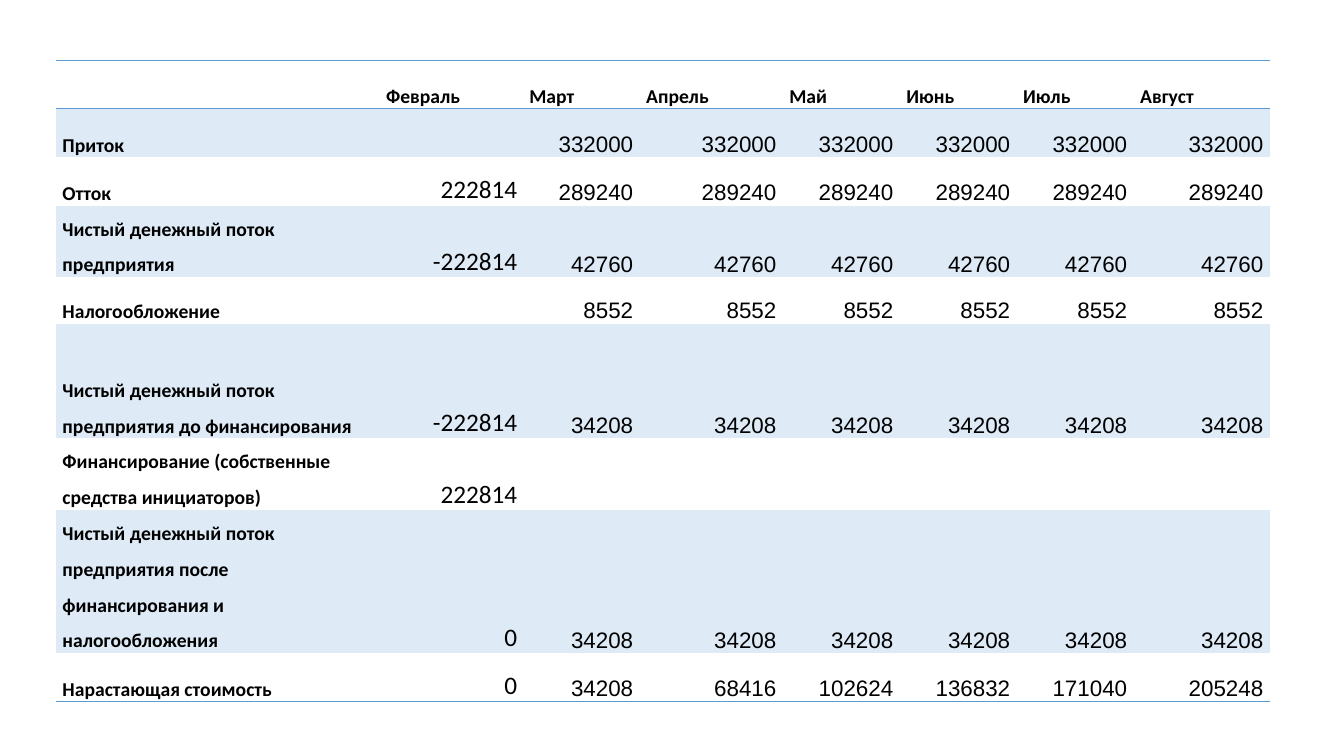
from dataclasses import dataclass
from lxml import etree
from pptx import Presentation
from pptx.dml.color import RGBColor
from pptx.enum.text import MSO_ANCHOR, PP_ALIGN
from pptx.oxml.ns import qn
from pptx.util import Inches, Pt

BOTTOM = MSO_ANCHOR.BOTTOM
LEFT, RIGHT = PP_ALIGN.LEFT, PP_ALIGN.RIGHT


@dataclass(frozen=True)
class Theme:
    line: str = "5B9BD5"
    band: str = "DEEBF7"
    text: str = "000000"
    label: tuple = ("Calibri", 14, True, 0.06)
    start: tuple = ("Calibri", 18, False, 0.06)
    month: tuple = ("Arial", 16, False, 0.07)
    spacing: float = 1.5
    rule: float = 1


THEME = Theme()
MONTHS = ["Март", "Апрель", "Май", "Июнь", "Июль", "Август"]
N = len(MONTHS)
FLOWS = [
    ("", "Февраль", MONTHS),
    ("Приток", "", ["332000"] * N),
    ("Отток", "222814", ["289240"] * N),
    ("Чистый денежный поток предприятия", "-222814", ["42760"] * N),
    ("Налогообложение", "", ["8552"] * N),
    ("Чистый денежный поток предприятия до финансирования", "-222814", ["34208"] * N),
    ("Финансирование (собственные средства инициаторов)", "222814", [""] * N),
    ("Чистый денежный поток предприятия после финансирования и налогообложения",
     "0", ["34208"] * N),
    ("Нарастающая стоимость", "0", [str(34208 * k) for k in range(1, N + 1)]),
]
COLS = [3.21, 1.42, 1.16, 1.42, 1.16, 1.16, 1.16, 1.35]
ROWS = [0.48, 0.48, 0.48, 0.71, 0.46, 1.14, 0.71, 1.42, 0.48]
X, Y = 0.56, 0.6


def add_border(cell, side):
    tc_pr = cell._tc.get_or_add_tcPr()
    ln = etree.SubElement(tc_pr, qn(f"a:{side}"), w=str(Pt(THEME.rule)))
    fill = etree.SubElement(ln, qn("a:solidFill"))
    etree.SubElement(fill, qn("a:srgbClr"), val=THEME.line)


def write_cell(cell, text, style, align):
    font, size, bold, inset = style
    cell.margin_left = cell.margin_right = Inches(inset)
    cell.margin_top = cell.margin_bottom = 0
    cell.vertical_anchor = BOTTOM
    p = cell.text_frame.paragraphs[0]
    p.text = text
    p.alignment = align
    p.line_spacing = THEME.spacing
    for r in p.runs:
        r.font.name, r.font.size, r.font.bold = font, Pt(size), bold
        r.font.color.rgb = RGBColor.from_string(THEME.text)


def fill_table(table):
    for i, (label, start, months) in enumerate(FLOWS):
        for j, text in enumerate([label, start, *months]):
            cell = table.cell(i, j)
            if i == 0 or j == 0:
                style, align = THEME.label, LEFT
            else:
                style, align = (THEME.start if j == 1 else THEME.month), RIGHT
            write_cell(cell, text, style, align)
            if i == 0:
                add_border(cell, "lnT")
            if i in (0, len(FLOWS) - 1):
                add_border(cell, "lnB")
            if i % 2:
                cell.fill.solid()
                cell.fill.fore_color.rgb = RGBColor.from_string(THEME.band)
            else:
                cell.fill.background()


def main():
    prs = Presentation()
    prs.slide_width, prs.slide_height = Inches(13.33), Inches(7.5)
    s = prs.slides.add_slide(prs.slide_layouts[6])
    frame = s.shapes.add_table(len(ROWS), len(COLS), Inches(X), Inches(Y),
                               Inches(sum(COLS)), Inches(sum(ROWS)))
    frame.element.xpath(".//a:tableStyleId")[0].text = "{2D5ABB26-0587-4C30-8999-92F81FD0307C}"
    table = frame.table
    table.first_row = table.horz_banding = False
    for col, width in zip(table.columns, COLS):
        col.width = Inches(width)
    for row, height in zip(table.rows, ROWS):
        row.height = Inches(height)
    fill_table(table)
    prs.save("out.pptx")


if __name__ == "__main__":
    main()
